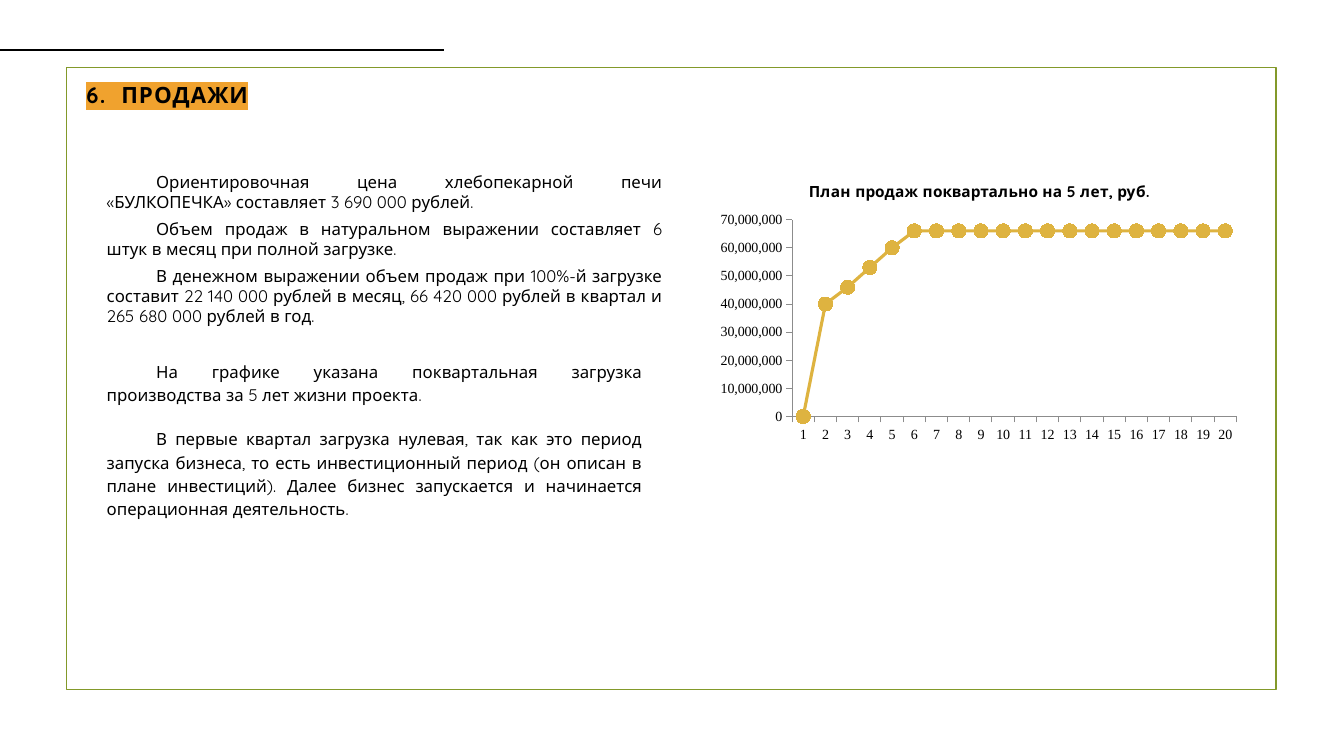
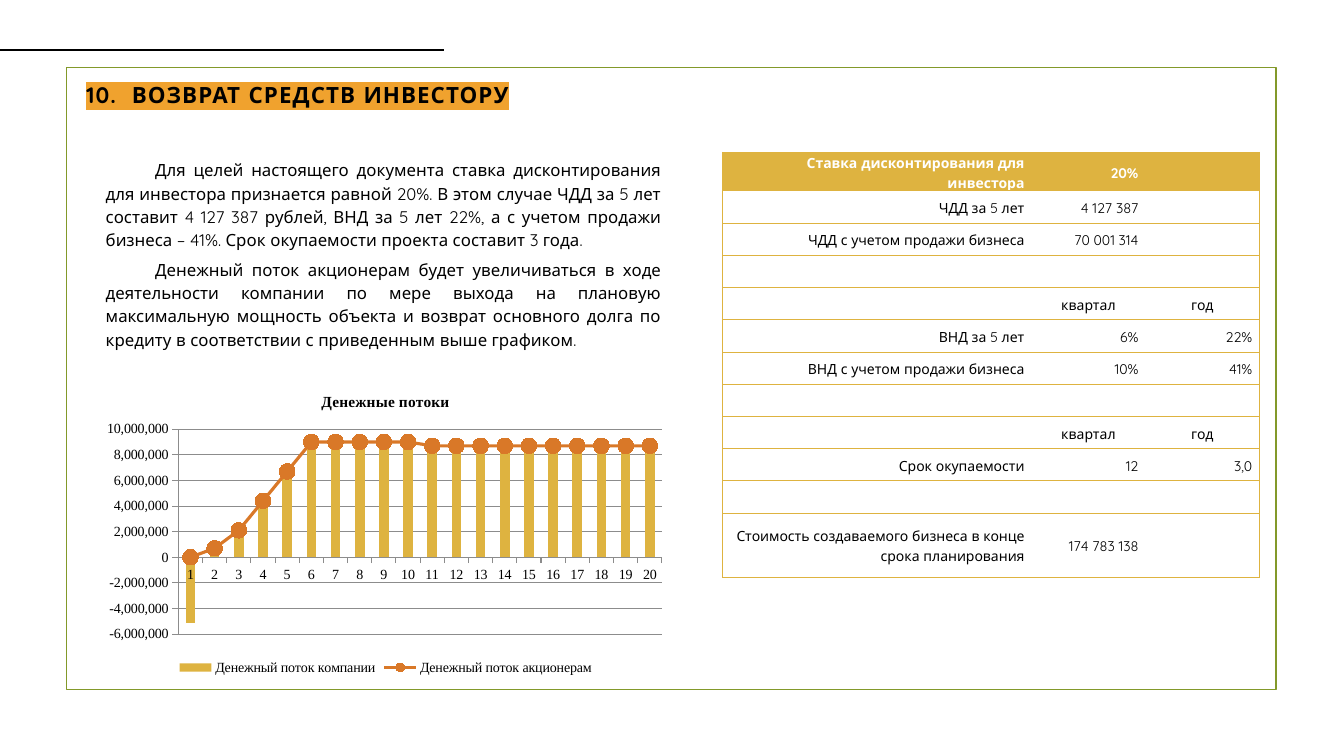
from lxml import etree
from pptx import Presentation
from pptx.chart.data import CategoryChartData
from pptx.dml.color import RGBColor
from pptx.enum.chart import XL_CHART_TYPE, XL_LEGEND_POSITION, XL_MARKER_STYLE, XL_TICK_MARK
from pptx.enum.shapes import MSO_CONNECTOR, MSO_SHAPE
from pptx.enum.text import MSO_ANCHOR, PP_ALIGN
from pptx.oxml import parse_xml
from pptx.oxml.ns import nsdecls, qn
from pptx.util import Inches, Pt

LEFT, CENTER, RIGHT, JUSTIFY = PP_ALIGN.LEFT, PP_ALIGN.CENTER, PP_ALIGN.RIGHT, PP_ALIGN.JUSTIFY
MIDDLE = MSO_ANCHOR.MIDDLE
RECTANGLE = MSO_SHAPE.RECTANGLE
STRAIGHT = MSO_CONNECTOR.STRAIGHT
COLUMNS, LINE_MARKERS = XL_CHART_TYPE.COLUMN_CLUSTERED, XL_CHART_TYPE.LINE_MARKERS
CIRCLE = XL_MARKER_STYLE.CIRCLE
TICK_OUTSIDE = XL_TICK_MARK.OUTSIDE
LEGEND_BOTTOM = XL_LEGEND_POSITION.BOTTOM

TEXT_FONT, CHART_FONT = "Quicksand", "Times New Roman"
BLACK, WHITE, GRAY = "000000", "FFFFFF", "8C8C8C"
GREEN, AMBER, GOLD, ORANGE = "83992A", "F0A22E", "DEB340", "D97828"

QUARTERS = [str(quarter) for quarter in range(1, 21)]
MILLION = 1_000_000
SALES = [value * MILLION for value in [0, 40, 46, 53, 60] + [66] * 15]
GROWTH = [700_000, 2_100_000, 4_400_000, 6_700_000] + [9_000_000] * 5 + [8_700_000] * 10

SALES_TEXT = [
    "Ориентировочная цена хлебопекарной печи «БУЛКОПЕЧКА» составляет 3 690 000 рублей.",
    "Объем продаж в натуральном выражении составляет 6 штук в месяц при полной загрузке.",
    "В денежном выражении объем продаж при 100%-й загрузке составит 22 140 000 рублей в месяц, "
    "66 420 000 рублей в квартал и 265 680 000 рублей в год.",
]
LOAD_TEXT = [
    "На графике указана поквартальная загрузка производства за 5 лет жизни проекта.",
    "В первые квартал загрузка нулевая, так как это период запуска бизнеса, то есть "
    "инвестиционный период (он описан в плане инвестиций). Далее бизнес запускается и "
    "начинается операционная деятельность.",
]
RETURN_TEXT = [
    "Для целей настоящего документа ставка дисконтирования для инвестора признается равной 20%. "
    "В этом случае ЧДД за 5 лет составит 4 127 387 рублей, ВНД за 5 лет 22%, а с учетом продажи "
    "бизнеса – 41%. Срок окупаемости проекта составит 3 года.",
    "Денежный поток акционерам будет увеличиваться в ходе деятельности компании по мере выхода "
    "на плановую максимальную мощность объекта и возврат основного долга по кредиту в "
    "соответствии с приведенным выше графиком.",
]
PERIODS = ("", "квартал", "год")
EMPTY = ("", "", "")
RETURN_ROWS = [
    ("Ставка дисконтирования для инвестора", "20%", ""),
    ("ЧДД за 5 лет", "4 127 387", ""),
    ("ЧДД с учетом продажи бизнеса", "70 001 314", ""),
    EMPTY,
    PERIODS,
    ("ВНД за 5 лет", "6%", "22%"),
    ("ВНД с учетом продажи бизнеса", "10%", "41%"),
    EMPTY,
    PERIODS,
    ("Срок окупаемости", "12", "3,0"),
    EMPTY,
    ("Стоимость создаваемого бизнеса в конце срока планирования", "174 783 138", ""),
]


def color(value):
    return RGBColor.from_string(value)


def set_font(font, size, name=TEXT_FONT, fill=BLACK, bold=False):
    font.size, font.name, font.bold = Pt(size), name, bold
    font.color.rgb = color(fill)


def set_line(line, fill, width):
    line.color.rgb = color(fill)
    line.width = Pt(width)


def add_text_box(slide, left, top, width, height):
    box = slide.shapes.add_textbox(Inches(left), Inches(top), Inches(width), Inches(height))
    box.text_frame.word_wrap = True
    return box.text_frame


def add_title(slide, text):
    paragraph = add_text_box(slide, 0.76, 0.76, 11.8, 0.37).paragraphs[0]
    paragraph.alignment = LEFT
    run = paragraph.add_run()
    run.text = text
    set_font(run.font, 16, bold=True)
    properties = run.font._element
    properties.set("spc", "80")
    highlight = parse_xml(f'<a:highlight {nsdecls("a")}><a:srgbClr val="{AMBER}"/></a:highlight>')
    properties.find(qn("a:solidFill")).addnext(highlight)


def add_base_slide(presentation, title):
    """Add a slide with the frame, the top rule and the highlighted title."""
    slide = presentation.slides.add_slide(presentation.slide_layouts[6])
    frame = slide.shapes.add_shape(RECTANGLE, Inches(0.66), Inches(0.67), Inches(12), Inches(6.17))
    frame.shadow.inherit = False
    frame.fill.background()
    set_line(frame.line, GREEN, 1.25)
    add_title(slide, title)
    rule = slide.shapes.add_connector(STRAIGHT, 0, Inches(0.5), Inches(4.4), Inches(0.5))
    set_line(rule.line, BLACK, 1.5)
    etree.SubElement(rule._element.spPr, qn("a:effectLst"))
    return slide


def add_body(slide, box, texts, spacing=1.0, before=0, after=0):
    """Add justified paragraphs whose first lines are indented."""
    frame = add_text_box(slide, *box)
    for index, text in enumerate(texts):
        paragraph = frame.add_paragraph() if index else frame.paragraphs[0]
        paragraph.text = text
        paragraph.alignment = JUSTIFY
        paragraph.line_spacing = spacing
        paragraph.space_before, paragraph.space_after = Pt(before), Pt(after)
        set_font(paragraph.font, 12)
        properties = paragraph._p.get_or_add_pPr()
        properties.set("marL", "0")
        properties.set("indent", str(Inches(0.49)))


def set_borders(cell, sides):
    """Draw gold borders on the named sides and none on the others."""
    properties = cell._tc.get_or_add_tcPr()
    for index, side in enumerate("LRTB"):
        paint = f'<a:solidFill><a:srgbClr val="{GOLD}"/></a:solidFill>' if side in sides else "<a:noFill/>"
        border = parse_xml(f'<a:ln{side} {nsdecls("a")} w="{Pt(0.75)}">{paint}</a:ln{side}>')
        properties.insert(index, border)


def fill_cell(cell, text, is_header):
    cell.vertical_anchor = MIDDLE
    cell.margin_left = cell.margin_right = Inches(0.07)
    cell.margin_top = cell.margin_bottom = 0
    if is_header:
        cell.fill.solid()
        cell.fill.fore_color.rgb = color(GOLD)
    else:
        cell.fill.background()
    paragraph = cell.text_frame.paragraphs[0]
    paragraph.text = text
    paragraph.alignment = CENTER if text in PERIODS else RIGHT
    paragraph.line_spacing = 1.15
    set_font(paragraph.font, 10, fill=WHITE if is_header else BLACK, bold=is_header)


def add_return_table(slide):
    widths = [3.06, 1.13, 1.13]
    heights = [0.38] + [0.32] * (len(RETURN_ROWS) - 2) + [0.64]
    table = slide.shapes.add_table(
        len(heights), len(widths), Inches(7.17), Inches(1.51),
        Inches(sum(widths)), Inches(sum(heights))).table
    table.first_row = table.horz_banding = False
    for column, width in zip(table.columns, widths):
        column.width = Inches(width)
    for row_index, (row, height) in enumerate(zip(table.rows, heights)):
        row.height = Inches(height)
        for cell, text, edge in zip(row.cells, RETURN_ROWS[row_index], ("L", "", "R")):
            fill_cell(cell, text, row_index == 0)
            set_borders(cell, "TB" + edge)


def set_plot_area(chart, left, top, width, height):
    """Place the inner plot area, in fractions of the chart."""
    places = "".join(f'<c:{key} val="{value}"/>' for key, value in
                     zip("xywh", (left, top, width, height)))
    layout = parse_xml(
        f'<c:layout {nsdecls("c")}><c:manualLayout><c:layoutTarget val="inner"/>'
        f'<c:xMode val="edge"/><c:yMode val="edge"/>{places}</c:manualLayout></c:layout>')
    plot_area = chart._chartSpace.chart.plotArea
    for old_layout in plot_area.findall(qn("c:layout")):
        plot_area.remove(old_layout)
    plot_area.insert(0, layout)


def add_quarter_chart(slide, kind, box, series, title, title_font, plot_area):
    data = CategoryChartData(number_format="#,##0")
    data.categories = QUARTERS
    for name, values in series:
        data.add_series(name, values)
    chart = slide.shapes.add_chart(kind, *map(Inches, box), data).chart
    set_font(chart.font, 10, CHART_FONT)
    chart.has_legend = False
    paragraph = chart.chart_title.text_frame.paragraphs[0]
    paragraph.text = title
    set_font(paragraph.font, 11, title_font, bold=True)
    set_plot_area(chart, *plot_area)
    chart.plots[0].vary_by_categories = False
    for axis in (chart.category_axis, chart.value_axis):
        axis.major_tick_mark = TICK_OUTSIDE
        set_line(axis.format.line, GRAY, 0.75)
    chart.value_axis.has_major_gridlines = False
    chart.value_axis.tick_labels.number_format = "#,##0"
    chart.value_axis.tick_labels.number_format_is_linked = False
    return chart


def style_line(series, fill, marker_size):
    series.smooth = False
    set_line(series.format.line, fill, 2.25)
    marker = series.marker
    marker.style, marker.size = CIRCLE, marker_size
    marker.format.fill.solid()
    marker.format.fill.fore_color.rgb = color(fill)
    set_line(marker.format.line, fill, 0.75)


def move_last_series_to_line(chart):
    """Turn the last column series into a line on the same axes."""
    columns = chart.plots[0]._element
    series = columns.findall(qn("c:ser"))[-1]
    for column_setting in series.findall(qn("c:invertIfNegative")):
        series.remove(column_setting)
    line_plot = parse_xml(
        f'<c:lineChart {nsdecls("c")}><c:grouping val="standard"/><c:varyColors val="0"/>'
        '<c:marker val="1"/></c:lineChart>')
    line_plot.insert(2, series)
    for axis_id in columns.findall(qn("c:axId")):
        etree.SubElement(line_plot, qn("c:axId"), val=axis_id.get("val"))
    columns.addnext(line_plot)
    return chart.plots[1].series[0]


def add_sales_slide(presentation):
    slide = add_base_slide(presentation, "6.  ПРОДАЖИ")
    add_body(slide, (0.96, 1.65, 5.71, 1.86), SALES_TEXT, before=5)
    add_body(slide, (0.96, 3.51, 5.51, 1.68), LOAD_TEXT, spacing=1.15, before=5, after=10)
    chart = add_quarter_chart(
        slide, LINE_MARKERS, (7.06, 1.65, 5.31, 2.79), [("Series 1", SALES)],
        "План продаж поквартально на 5 лет, руб.", TEXT_FONT, (0.15, 0.19, 0.83, 0.7))
    style_line(chart.plots[0].series[0], GOLD, 10)


def add_return_slide(presentation):
    slide = add_base_slide(presentation, "10.  ВОЗВРАТ СРЕДСТВ ИНВЕСТОРУ")
    add_body(slide, (0.95, 1.51, 5.71, 2.24), RETURN_TEXT, spacing=1.15, after=5)
    add_return_table(slide)
    chart = add_quarter_chart(
        slide, COLUMNS, (0.97, 3.75, 5.71, 2.99),
        [("Денежный поток компании", [-5_100_000] + GROWTH),
         ("Денежный поток акционерам", [0] + GROWTH)],
        "Денежные потоки", CHART_FONT, (0.14, 0.17, 0.84, 0.68))
    chart.plots[0].gap_width = 150
    company_series = chart.plots[0].series[0]
    company_series.invert_if_negative = False
    company_series.format.fill.solid()
    company_series.format.fill.fore_color.rgb = color(GOLD)
    style_line(move_last_series_to_line(chart), ORANGE, 11)
    chart.value_axis.has_major_gridlines = True
    set_line(chart.value_axis.major_gridlines.format.line, GRAY, 0.75)
    chart.has_legend = True
    chart.legend.position = LEGEND_BOTTOM
    chart.legend.include_in_layout = False
    set_font(chart.legend.font, 10, CHART_FONT)


def main():
    presentation = Presentation()
    presentation.slide_width, presentation.slide_height = Inches(13.33), Inches(7.5)
    add_sales_slide(presentation)
    add_return_slide(presentation)
    presentation.save("out.pptx")


if __name__ == "__main__":
    main()
